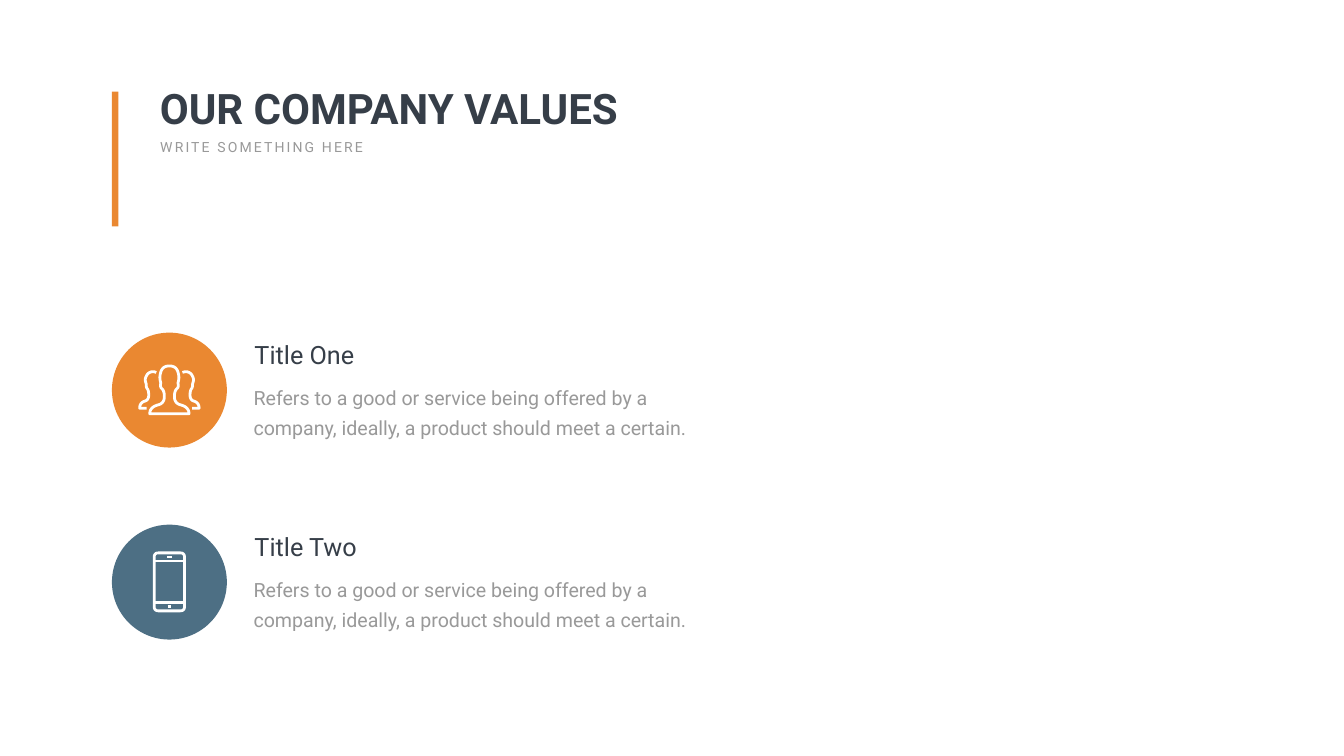
from dataclasses import dataclass

from pptx import Presentation
from pptx.dml.color import RGBColor
from pptx.enum.shapes import MSO_SHAPE
from pptx.enum.text import MSO_ANCHOR, MSO_AUTO_SIZE, PP_ALIGN
from pptx.util import Inches, Pt


@dataclass(frozen=True)
class Theme:
    font: str = "Roboto"
    dark: str = "363E48"
    grey: str = "999999"
    orange: str = "EA8831"
    blue: str = "4D6F84"
    white: str = "FFFFFF"
    title: int = 60
    heading: int = 36
    body: int = 28
    subtitle: int = 20
    body_line: int = 43
    icon_line: int = 4


def curve(points, steps=8):
    """Sample a chain of cubic curves: a start, then two controls and an end each."""
    samples = [points[0]]
    for first in range(0, len(points) - 1, 3):
        a, b, c, d = points[first:first + 4]
        for step in range(1, steps + 1):
            t = step / steps
            u = 1 - t
            samples.append(tuple(
                u**3 * p + 3 * u * u * t * q + 3 * u * t * t * r + t**3 * s
                for p, q, r, s in zip(a, b, c, d)))
    return samples


def mirror(points):
    return [(-x, y) for x, y in points]


def symmetric(half):
    """Complete an outline whose right half runs from top to bottom."""
    return half + mirror(half)[::-1]


def people_icon():
    """Contours as (points, closed), measured from the icon's centre."""
    front = curve([
        (0, -.48), (.1, -.48), (.16, -.43), (.18, -.32),
        (.2, -.24), (.18, -.18), (.17, -.14),
        (.19, -.06), (.16, -.04), (.15, -.03),
        (.12, 0), (.1, .04), (.1, .13),
        (.1, .23), (.15, .27), (.21, .29),
        (.29, .31), (.39, .35), (.39, .47)])
    side = curve([
        (.26, -.35), (.31, -.37), (.35, -.37), (.39, -.35),
        (.43, -.33), (.45, -.3), (.47, -.25),
        (.49, -.2), (.47, -.16), (.46, -.12),
        (.46, -.06), (.45, -.04), (.44, -.03),
        (.42, 0), (.41, .03), (.41, .1),
        (.41, .18), (.45, .21), (.49, .22),
        (.55, .24), (.59, .28), (.59, .36)]) + [(.45, .36)]
    return [(symmetric(front), True), (side, False), (mirror(side), False)]


def phone_icon():
    """Contours as (points, closed), measured from the icon's centre."""
    case = [(0, -.58),
            *curve([(.22, -.58), (.27, -.58), (.3, -.55), (.3, -.5)]),
            *curve([(.3, .49), (.3, .54), (.27, .57), (.22, .57)])]
    bars = [(.3, -.42), (.3, .4), (.05, -.5), (.03, .49)]
    return [(symmetric(case), True)] + [
        ([(-half, y), (half, y)], False) for half, y in bars]


class SlideBuilder:
    def __init__(self, deck, theme):
        self.theme = theme
        self.page = deck.slides.add_slide(deck.slide_layouts[5])

    def fill_text(self, box, text, size, color, bold=False, wrap=True):
        frame = box.text_frame
        frame.text = text
        frame_format = {"word_wrap": wrap, "vertical_anchor": MSO_ANCHOR.TOP,
                        "auto_size": MSO_AUTO_SIZE.SHAPE_TO_FIT_TEXT}
        for name, value in frame_format.items():
            setattr(frame, name, value)
        para = frame.paragraphs[0]
        para.alignment = PP_ALIGN.LEFT
        span = para.runs[0]
        for name, value in {"name": self.theme.font, "size": Pt(size), "bold": bold}.items():
            setattr(span.font, name, value)
        span.font.color.rgb = RGBColor.from_string(color)
        return frame

    def title(self, text, left, top, width, height):
        box = self.page.shapes.title
        place = {"left": left, "top": top, "width": width, "height": height}
        for name, value in place.items():
            setattr(box, name, Inches(value))
        self.fill_text(box, text, self.theme.title, self.theme.dark, bold=True)

    def text(self, text, left, top, width, height, size, color, wrap=True):
        box = self.page.shapes.add_textbox(*map(Inches, (left, top, width, height)))
        return self.fill_text(box, text, size, color, wrap=wrap)

    def subtitle(self, text, left, top, width, height):
        frame = self.text(text, left, top, width, height,
                          self.theme.subtitle, self.theme.grey, wrap=False)
        frame.paragraphs[0].runs[0].font._element.set("spc", "300")

    def body(self, text, left, top, width, height):
        frame = self.text(text, left, top, width, height, self.theme.body, self.theme.grey)
        insets = {"margin_left": .24, "margin_right": .24,
                  "margin_top": .12, "margin_bottom": .12}
        for name, value in insets.items():
            setattr(frame, name, Inches(value))
        frame.paragraphs[0].line_spacing = Pt(self.theme.body_line)

    def shape(self, kind, left, top, width, height, color):
        shape = self.page.shapes.add_shape(kind, *map(Inches, (left, top, width, height)))
        shape.shadow.inherit = False
        shape.fill.solid()
        shape.fill.fore_color.rgb = RGBColor.from_string(color)
        shape.line.fill.background()

    def icon(self, contours, center_x, center_y):
        builder = None
        for points, closed in contours:
            start, *rest = [(Inches(center_x + x), Inches(center_y + y)) for x, y in points]
            if builder is None:
                builder = self.page.shapes.build_freeform(*start)
            else:
                builder.move_to(*start)
            builder.add_line_segments(rest, close=closed)
        shape = builder.convert_to_shape()
        shape.shadow.inherit = False
        shape.fill.background()
        shape.line.color.rgb = RGBColor.from_string(self.theme.white)
        shape.line.width = Pt(self.theme.icon_line)


def main():
    deck = Presentation()
    deck.slide_width, deck.slide_height = Inches(26.66), Inches(15)
    theme = Theme()
    slide = SlideBuilder(deck, theme)

    slide.title("OUR COMPANY VALUES", 3.07, 1.59, 10.39, 1.11)
    slide.subtitle("WRITE SOMETHING HERE", 3.08, 2.7, 4.35, .44)
    left = 2.22
    slide.shape(MSO_SHAPE.RECTANGLE, left, 1.82, .13, 2.67, theme.orange)

    description = ("Refers to a good or service being offered by a company, "
                   "ideally, a product should meet a certain.")
    values = [("Title One", theme.orange, people_icon()),
              ("Title Two", theme.blue, phone_icon())]
    first_top, row_step, diameter = 6.6, 3.81, 2.28
    for row, (heading, color, contours) in enumerate(values):
        top = first_top + row * row_step
        slide.shape(MSO_SHAPE.OVAL, left, top, diameter, diameter, color)
        slide.icon(contours, left + diameter / 2, top + diameter / 2)
        slide.body(description, 4.79, top + .8, 9.08, 1.39)
        slide.text(heading, 4.95, top + .09, 5.67, .71, theme.heading, theme.dark)

    deck.save("out.pptx")


if __name__ == "__main__":
    main()
